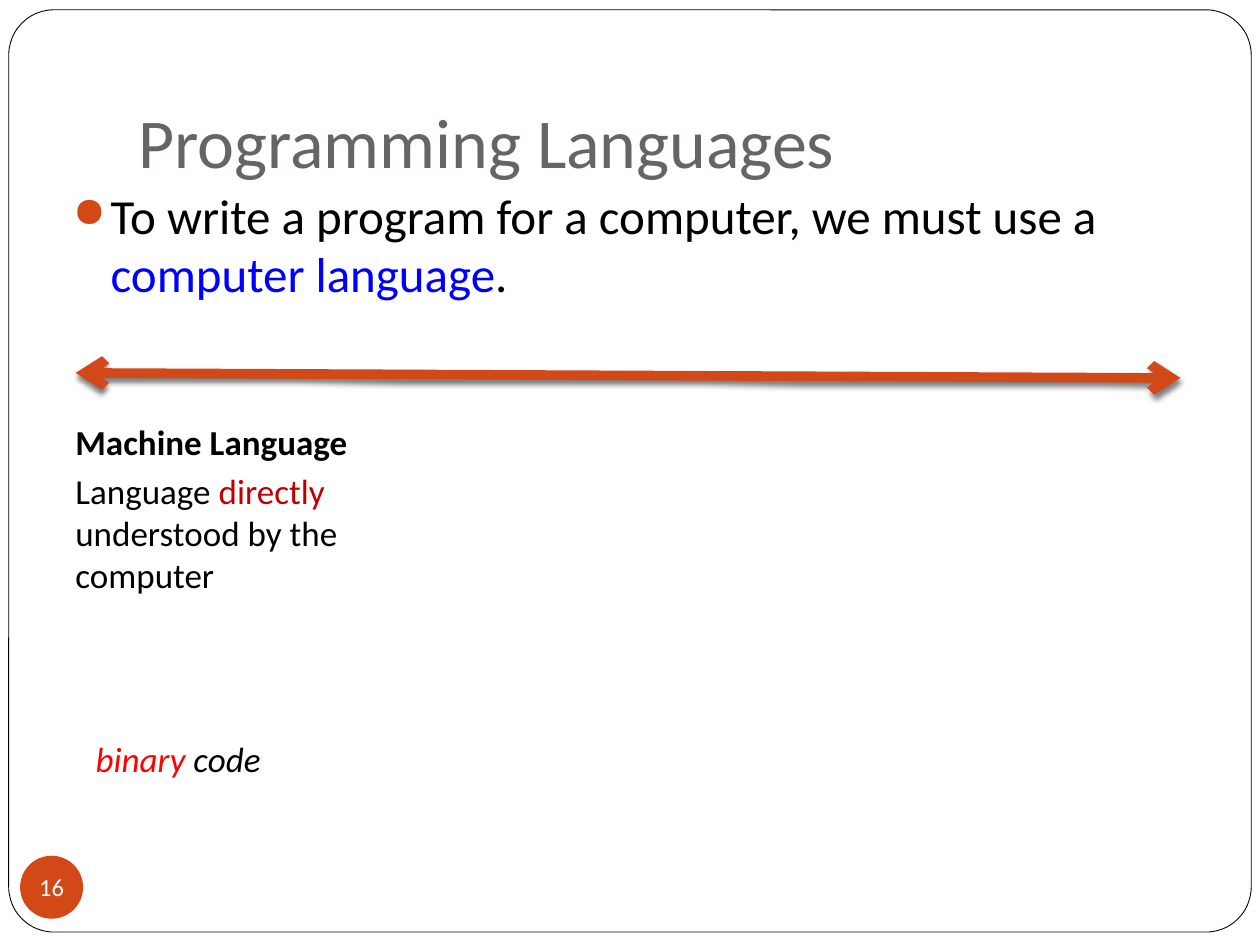
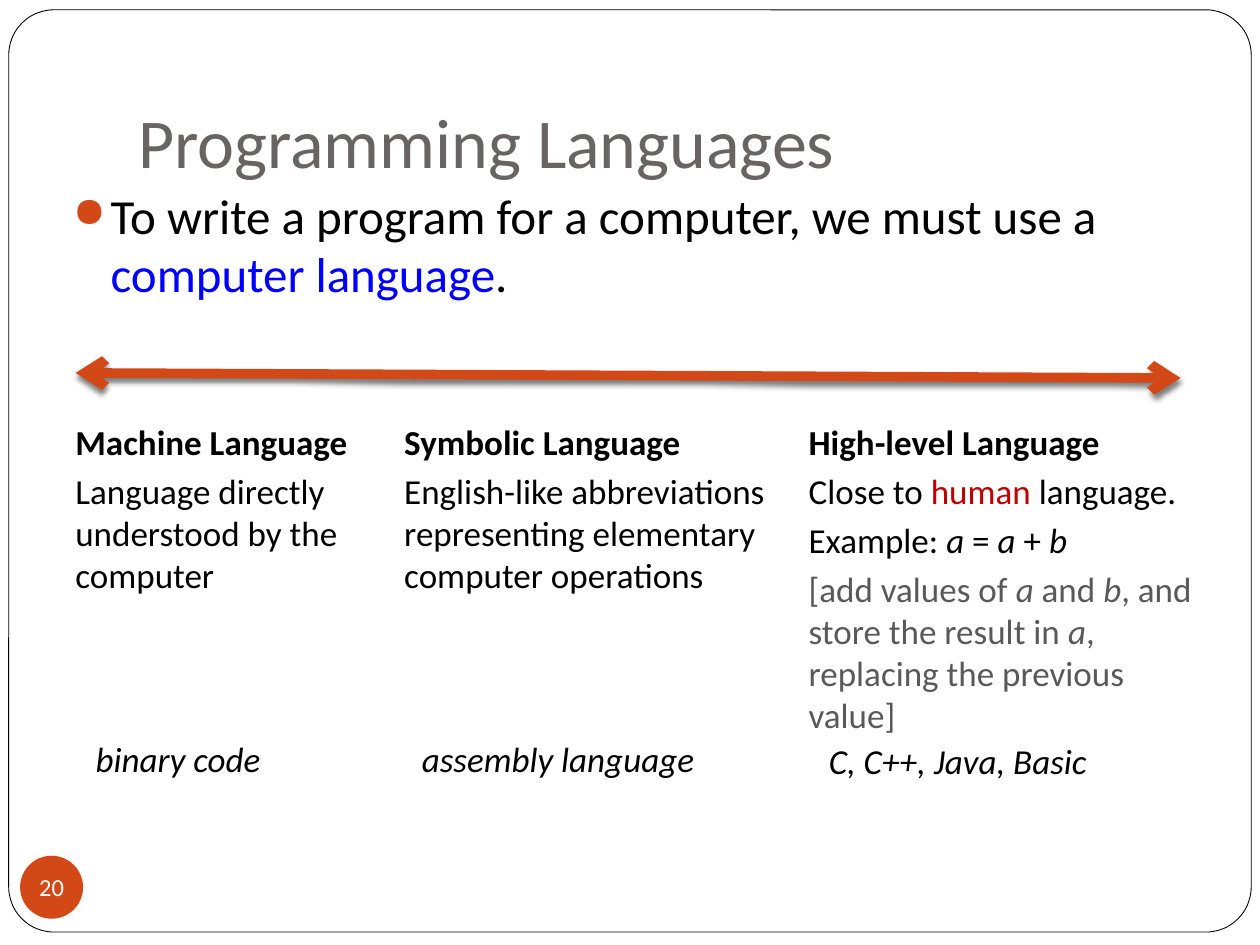
import dataclasses

import lxml.etree
import pptx
import pptx.dml.color
import pptx.enum.shapes
import pptx.enum.text
import pptx.oxml
import pptx.oxml.ns
import pptx.util

Pt = pptx.util.Pt
Shape = pptx.enum.shapes.MSO_SHAPE
Anchor = pptx.enum.text.MSO_ANCHOR
Align = pptx.enum.text.PP_ALIGN


@dataclasses.dataclass(frozen=True)
class Theme:
    font: str = "Calibri"
    black: str = "000000"
    white: str = "FFFFFF"
    accent: str = "D34817"
    title: str = "696464"
    term: str = "0000FF"
    stress: str = "C00000"
    alert: str = "FF0000"
    aside: str = "595959"
    title_size: float = 40
    body_size: float = 28
    text_size: float = 20
    number_size: float = 14


THEME = Theme()


@dataclasses.dataclass(frozen=True)
class Span:
    text: str
    color: str = THEME.black
    bold: bool = False
    italic: bool = False


@dataclasses.dataclass(frozen=True)
class Language:
    name: str
    description: list  # paragraphs, each a list of spans
    example: list  # spans of one paragraph
    column_box: tuple
    example_box: tuple


def rgb(value):
    return pptx.dml.color.RGBColor.from_string(value)


def add_xml(parent, xml):
    namespace = pptx.oxml.ns.nsdecls("a")
    parent.append(pptx.oxml.parse_xml(xml.replace(">", f" {namespace}>", 1)
                                      if not xml.split(">")[0].endswith("/")
                                      else xml.replace("/>", f" {namespace}/>", 1)))


def fill_para(para, spans, size, space_before=0):
    para.space_before = Pt(space_before)
    for span in spans:
        run = para.add_run()
        run.text = span.text
        run.font.name = THEME.font
        run.font.size = Pt(size)
        run.font.bold = span.bold
        run.font.italic = span.italic
        run.font.color.rgb = rgb(span.color)


def add_text(page, box, paras, size, space_before=0):
    frame = page.shapes.add_textbox(*map(Pt, box)).text_frame
    frame.word_wrap = True
    for index, spans in enumerate(paras):
        para = frame.add_paragraph() if index else frame.paragraphs[0]
        fill_para(para, spans, size, space_before)
    return frame


def add_shape(page, kind, box, fill):
    shape = page.shapes.add_shape(kind, *map(Pt, box))
    shape.shadow.inherit = False
    shape.fill.solid()
    shape.fill.fore_color.rgb = rgb(fill)
    return shape


def add_border(page, box):
    border = add_shape(page, Shape.ROUNDED_RECTANGLE, box, THEME.white)
    border.adjustments[0] = 0.049
    border.line.color.rgb = rgb(THEME.black)
    border.line.width = Pt(0.5)


def add_title(page, box, title):
    frame = add_text(page, box, [[Span(title, THEME.title)]], THEME.title_size)
    frame.vertical_anchor = Anchor.BOTTOM
    frame.margin_bottom = Pt(7.2)


def add_bullet(page, box, spans):
    frame = add_text(page, box, [spans], THEME.body_size, space_before=5.8)
    properties = frame.paragraphs[0]._p.get_or_add_pPr()
    indent = Pt(21.6)
    properties.set("marL", str(indent))
    properties.set("indent", str(-indent))
    add_xml(properties, f'<a:buClr><a:srgbClr val="{THEME.accent}"/></a:buClr>')
    add_xml(properties, '<a:buSzPct val="85000"/>')
    add_xml(properties, '<a:buChar char="●"/>')


def add_page_number(page, box, number):
    badge = add_shape(page, Shape.OVAL, box, THEME.accent)
    badge.line.fill.background()
    frame = badge.text_frame
    frame.word_wrap = False
    frame.vertical_anchor = Anchor.MIDDLE
    frame.margin_left = frame.margin_right = frame.margin_top = frame.margin_bottom = 0
    fill_para(frame.paragraphs[0], [Span(str(number), THEME.white)], THEME.number_size)
    frame.paragraphs[0].alignment = Align.CENTER


def add_spectrum_arrow(page, box):
    left, top, width, height = box
    arrow = page.shapes.add_connector(
        pptx.enum.shapes.MSO_CONNECTOR.STRAIGHT,
        Pt(left), Pt(top), Pt(left + width), Pt(top + height))
    arrow.line.color.rgb = rgb(THEME.accent)
    arrow.line.width = Pt(5.5)
    for end in ("headEnd", "tailEnd"):
        add_xml(arrow.line._ln, f'<a:{end} type="arrow"/>')
    add_xml(arrow._element.spPr,
            f'<a:effectLst><a:outerShdw blurRad="{Pt(3)}" dist="{Pt(2.1)}" '
            f'dir="5400000" rotWithShape="0"><a:srgbClr val="{THEME.black}">'
            '<a:alpha val="50000"/></a:srgbClr></a:outerShdw></a:effectLst>')


def add_language(page, language):
    heading = [Span(language.name, bold=True)]
    add_text(page, language.column_box, [heading, *language.description],
             THEME.text_size, space_before=4)
    add_text(page, language.example_box, [language.example],
             THEME.text_size, space_before=4)


def add_language_page(deck, number, languages):
    page = deck.slides.add_slide(deck.slide_layouts[6])
    add_border(page, (5, 5.6, 710, 527))
    add_title(page, (72, 21.6, 612, 90), "Programming Languages")
    add_bullet(page, (34.6, 102.2, 648, 97.2), [
        Span("To write a program for a computer, we must use a "),
        Span("computer language", THEME.term),
        Span("."),
    ])
    add_page_number(page, (11.5, 489, 36, 36), number)
    add_spectrum_arrow(page, (43.2, 213.1, 631.4, 2.9))
    for language in languages:
        add_language(page, language)


def variable(name, color=THEME.black):
    return Span(name, color, italic=True)


def aside(text):
    return Span(text, THEME.aside)


MACHINE = Language(
    "Machine Language",
    [[Span("Language directly understood by the computer")]],
    [Span("binary code", italic=True)],
    (36, 236.9, 194.4, 172.8), (47.5, 417.6, 123.1, 35.3))

# The first page stresses the key words of machine language
MACHINE_STRESSED = dataclasses.replace(
    MACHINE,
    description=[[Span("Language "), Span("directly", THEME.stress),
                  Span(" understood by the computer")]],
    example=[Span("binary", THEME.alert, italic=True), Span(" code", italic=True)])

SYMBOLIC = Language(
    "Symbolic Language",
    [[Span("English-like abbreviations representing elementary computer operations")]],
    [Span("assembly language", italic=True)],
    (223.9, 236.9, 229, 172.8), (234, 417.6, 182.2, 35.3))

HIGH_LEVEL = Language(
    "High-level Language",
    [
        [Span("Close to "), Span("human", THEME.stress), Span(" language.")],
        [Span("Example: "), variable("a"), Span(" = "), variable("a "),
         Span("+ "), variable("b")],
        [aside("[add values of "), variable("a", THEME.aside), aside(" and "),
         variable("b", THEME.aside), aside(", and store the result in "),
         variable("a", THEME.aside), aside(", replacing the previous value]")],
    ],
    [Span("C, C++, Java, Basic", italic=True)],
    (455, 236.9, 248.4, 172.8), (466.6, 419, 182.2, 35.3))


def main():
    deck = pptx.Presentation()
    deck.slide_width, deck.slide_height = Pt(720), Pt(540)
    add_language_page(deck, 16, [MACHINE_STRESSED])
    add_language_page(deck, 20, [MACHINE, SYMBOLIC, HIGH_LEVEL])
    deck.save("out.pptx")


if __name__ == "__main__":
    main()
